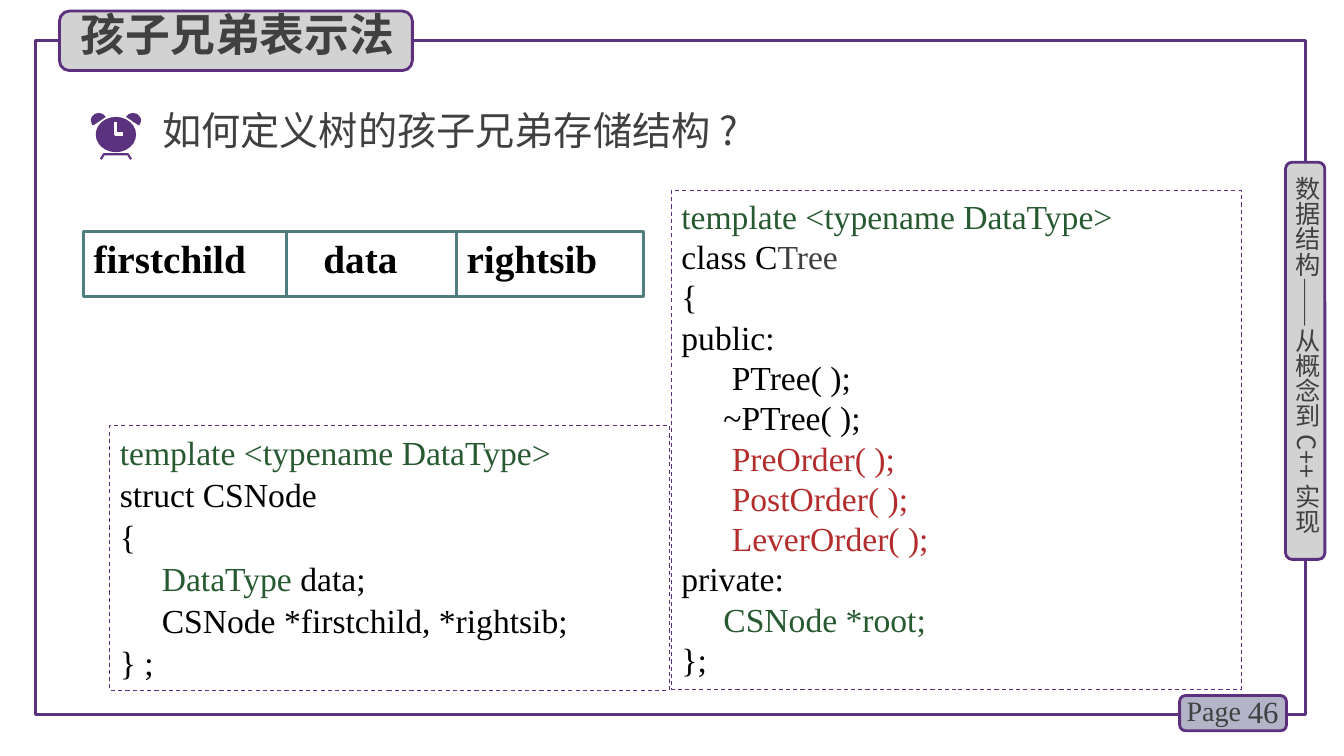
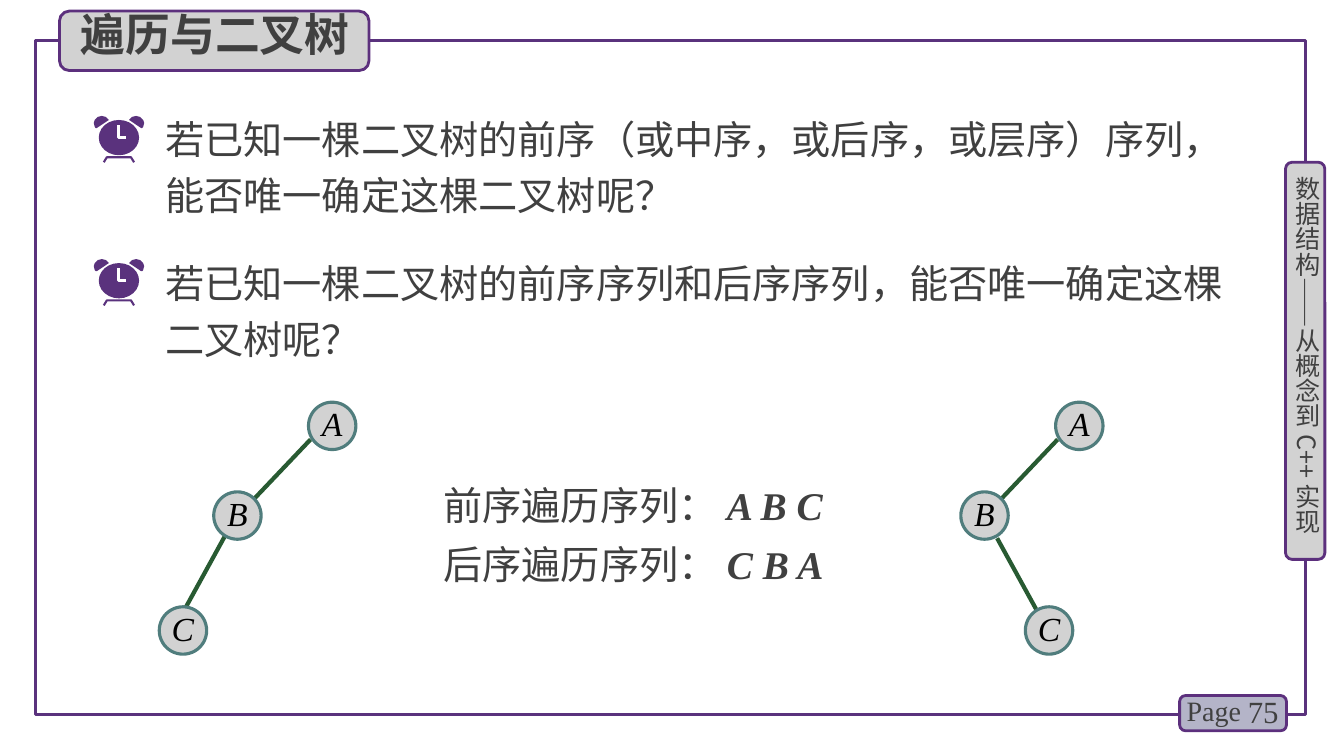
from dataclasses import dataclass, replace
from typing import NamedTuple, Optional

from lxml.etree import SubElement
from pptx import Presentation
from pptx.dml.color import RGBColor
from pptx.enum.dml import MSO_LINE
from pptx.enum.shapes import MSO_CONNECTOR, MSO_SHAPE as Form
from pptx.enum.text import MSO_ANCHOR as Anchor, MSO_AUTO_SIZE as Fit, PP_ALIGN as Align
from pptx.oxml.ns import qn
from pptx.util import Inches, Pt

PURPLE = RGBColor(0x5A, 0x32, 0x7D)
PLUM = RGBColor(0x5C, 0x30, 0x7D)
SILVER = RGBColor(0xD2, 0xD2, 0xD2)
LILAC = RGBColor(0xB4, 0xB4, 0xC8)
TEAL = RGBColor(0x50, 0x7D, 0x7D)
GREEN = RGBColor(0x28, 0x5A, 0x32)
RED = RGBColor(0xB4, 0x2D, 0x2D)
GRAY = RGBColor(0x40, 0x40, 0x40)
BLACK = RGBColor(0, 0, 0)
WHITE = RGBColor(0xFF, 0xFF, 0xFF)
HAN = "Noto Sans CJK SC"
ROMAN = "Times New Roman"


@dataclass(frozen=True)
class Style:
    size: float
    face: str
    color: RGBColor
    bold: bool = False
    italic: bool = False

    def apply(self, font) -> None:
        font.size, font.name = Pt(self.size), self.face
        font.bold, font.italic = self.bold, self.italic
        font.color.rgb = self.color
        SubElement(font._rPr, qn("a:ea")).set("typeface", self.face)


class Box(NamedTuple):
    left: float
    top: float
    width: float
    height: float

    def place(self) -> tuple:
        return tuple(Inches(n) for n in self)


class Run(NamedTuple):
    text: str
    style: Style


class Point(NamedTuple):
    x: float
    y: float


class Edge(NamedTuple):
    start: Point
    end: Point


class Tree(NamedTuple):
    shift: float
    leaf: Point
    branch: Edge


HEAD = Style(32, HAN, GRAY, bold=True)
ASK = Style(28, HAN, GRAY)
CODE = Style(24, ROMAN, BLACK)
TYPE = replace(CODE, color=GREEN)
CALL = replace(CODE, color=RED)
NODE = replace(CODE, italic=True)
FIELD = Style(28, ROMAN, BLACK, bold=True)
ORDER = Style(28, ROMAN, GRAY, bold=True, italic=True)
PAGE = Style(20, ROMAN, GRAY)
COUNT = Style(22, ROMAN, GRAY)
SIDE = Style(18, HAN, GRAY)

TREES = (
    Tree(0, Point(1.58, 6.02), Edge(Point(2.23, 5.32), Point(1.84, 6.03))),
    Tree(7.41, Point(2.76, 6.02), Edge(Point(2.48, 5.34), Point(2.87, 6.05))),
)
STEM = Edge(Point(3.08, 4.36), Point(2.52, 4.95))
EAR = ((0.15, 0.04), (0.12, 0.01), (0.08, 0), (0.04, 0.01), (0.01, 0.04),
       (0, 0.07), (0.01, 0.11), (0.02, 0.12), (0.03, 0.12))
LEGS = ((0.1, 0.46), (0.13, 0.41), (0.37, 0.41), (0.4, 0.46))
HANDS = ((0.25, 0.09), (0.25, 0.21), (0.32, 0.21))

STRUCT = (
    [Run("template <typename DataType>", TYPE)],
    [Run("struct CSNode", CODE)],
    [Run("{", CODE)],
    [Run("     DataType", TYPE), Run(" data;", CODE)],
    [Run("     CSNode *firstchild, *rightsib;", CODE)],
    [Run("} ;", CODE)],
)
CLASS = (
    [Run("template <typename DataType>", TYPE)],
    [Run("class C", CODE), Run("Tree", replace(CODE, color=GRAY))],
    [Run("{", CODE)],
    [Run("public:", CODE)],
    [Run("      PTree( );", CODE)],
    [Run("     ~PTree( );", CODE)],
    [Run("      PreOrder( );", CALL)],
    [Run("      PostOrder( );", CALL)],
    [Run("      LeverOrder( );", CALL)],
    [Run("private:", CODE)],
    [Run("     CSNode *root;", TYPE)],
    [Run("};", CODE)],
)


def write(frame, lines, pad=(0.1, 0.05, 0.1, 0.05), anchor=Anchor.TOP, align=Align.LEFT,
          lead: Optional[float] = None, gap: float = 0, tabs=(), bare=False) -> None:
    """Fill a text frame with lines of styled runs."""
    frame.word_wrap, frame.auto_size, frame.vertical_anchor = True, Fit.NONE, anchor
    (frame.margin_left, frame.margin_top,
     frame.margin_right, frame.margin_bottom) = (Inches(n) for n in pad)
    for i, line in enumerate(lines):
        para = frame.add_paragraph() if i else frame.paragraphs[0]
        para.alignment = align
        para.space_before = Pt(gap if i else 0)
        if lead:
            para.line_spacing = Pt(lead)
        props = para._p.get_or_add_pPr()
        if bare:
            props.set("marL", "0")
            props.set("indent", "0")
            SubElement(props, qn("a:buNone"))
        if tabs:
            stops = SubElement(props, qn("a:tabLst"))
            for stop in tabs:
                SubElement(stops, qn("a:tab"), pos=str(Inches(stop)), algn="l")
        same = len({run.style for run in line}) == 1
        if same:
            line[0].style.apply(para.font)
        for text, style in line:
            run = para.add_run()
            run.text = text
            if not same:
                style.apply(run.font)


def paint(item, fill=None, line=None, width: float = 1) -> None:
    """Set the fill and outline of a shape."""
    item.shadow.inherit = False
    if fill is None:
        item.fill.background()
    else:
        item.fill.solid()
        item.fill.fore_color.rgb = fill
    if line is None:
        item.line.fill.background()
    else:
        item.line.color.rgb, item.line.width = line, Pt(width)


def block(shapes, form, box: Box, fill=None, line=None, width: float = 2):
    """Add a painted preset shape."""
    item = shapes.add_shape(form, *box.place())
    paint(item, fill, line, width)
    return item


def label(shapes, box: Box, lines, **kind):
    """Add a text box."""
    item = shapes.add_textbox(*box.place())
    write(item.text_frame, lines, **kind)
    return item


def link(shapes, edge: Edge, color: RGBColor, width: float) -> None:
    """Add a straight line."""
    ends = (Inches(n) for point in edge for n in point)
    item = shapes.add_connector(MSO_CONNECTOR.STRAIGHT, *ends)
    item.line.color.rgb, item.line.width = color, Pt(width)
    SubElement(item.element.spPr, qn("a:effectLst"))


def trace(shapes, points, spot: Point, close: bool):
    """Add an outline through points set off from a spot."""
    path = [(Inches(spot.x + x), Inches(spot.y + y)) for x, y in points]
    pen = shapes.build_freeform(*path[0])
    pen.add_line_segments(path[1:], close=close)
    return pen.convert_to_shape()


def clock(slide, spot: Point) -> None:
    """Draw the alarm clock."""
    shapes = slide.shapes.add_group_shape().shapes
    for ear in (EAR, [(0.5 - x, y) for x, y in EAR]):
        paint(trace(shapes, ear, spot, True), PURPLE)
    block(shapes, Form.OVAL, Box(spot.x + 0.05, spot.y + 0.04, 0.4, 0.35), PURPLE)
    for points, color, width in ((LEGS, PURPLE, 1.5), (HANDS, WHITE, 2.25)):
        paint(trace(shapes, points, spot, False), None, color, width)


def adorn(deck, slide) -> None:
    """Build the shared frame and move it to the master."""
    shapes = slide.shapes
    side = label(shapes, Box(12.76, 1.75, 0.36, 3.78),
                 [[Run("数据结构——从概念到C++实现", SIDE)]], pad=(0, 0, 0, 0))
    side.text_frame._txBody.bodyPr.set("vert", "eaVert")
    parts = (
        block(shapes, Form.RECTANGLE, Box(0.35, 0.4, 12.6, 6.69), None, PURPLE, 2.25),
        block(shapes, Form.ROUNDED_RECTANGLE, Box(11.7, 6.9, 1.06, 0.35), LILAC, PLUM),
        label(shapes, Box(11.67, 6.83, 0.78, 0.44), [[Run("Page", PAGE)]]),
        block(shapes, Form.ROUNDED_RECTANGLE, Box(12.75, 1.61, 0.39, 3.94), SILVER, PLUM),
        side,
    )
    for i, part in enumerate(parts, 20):
        part.element.nvSpPr.cNvPr.set("id", str(i))
        deck.slide_master.shapes.element.append(part.element)


def start(deck, layout: int, title: str, width: float, page: int):
    """Add a slide with its title tab and page number."""
    slide = deck.slides.add_slide(deck.slide_layouts[layout])
    shapes, head = slide.shapes, slide.shapes.title
    block(shapes, Form.ROUNDED_RECTANGLE, Box(0.59, 0.11, width, 0.59), SILVER, PLUM)
    head.left, head.top, head.width, head.height = Box(0.7, 0.02, width, 0.74).place()
    write(head.text_frame, [[Run(title, HEAD)]])
    shapes.element.append(head.element)
    label(shapes, Box(12.07, 6.86, 0.71, 0.4), [[Run(str(page), COUNT)]],
          anchor=Anchor.MIDDLE, align=Align.RIGHT)
    return slide


def ask(slide, index: int, text: str, box: Box, spot: Point, lead=None) -> None:
    """Put a question in a body placeholder beside a clock."""
    body = slide.placeholders[index]
    body.left, body.top, body.width, body.height = box.place()
    write(body.text_frame, [[Run(text, ASK)]], lead=lead, bare=True)
    clock(slide, spot)


def store(deck):
    """Build the slide on child and sibling storage."""
    slide = start(deck, 1, "孩子兄弟表示法", 3.5, 46)
    shapes = slide.shapes
    ask(slide, 1, "如何定义树的孩子兄弟存储结构?", Box(1.51, 1, 7.9, 0.66), Point(0.9, 1.12))
    for box, lines, lead in ((Box(1.09, 4.22, 5.55, 2.63), STRUCT, 30),
                             (Box(6.66, 1.89, 5.65, 4.95), CLASS, 28.8)):
        item = block(shapes, Form.RECTANGLE, box, None, PLUM, 0.75)
        item.line.dash_style = MSO_LINE.DASH
        write(item.text_frame, lines, lead=lead)
    row = block(shapes, Form.RECTANGLE, Box(0.83, 2.3, 5.55, 0.64), None, TEAL, 2.25)
    write(row.text_frame, [[Run("firstchild\tdata\trightsib", FIELD)]],
          pad=(0.1, 0.02, 0, 0.01), tabs=(2.28, 3.7))
    for x in (2.84, 4.53):
        link(shapes, Edge(Point(x, 2.3), Point(x, 2.94)), TEAL, 2.25)
    return slide


def draw(slide, tree: Tree) -> None:
    """Draw a tree of three nodes."""
    shapes = slide.shapes.add_group_shape().shapes
    for edge in (STEM, tree.branch):
        link(shapes, Edge(*(Point(p.x + tree.shift, p.y) for p in edge)), GREEN, 3)
    for name, spot in zip("ABC", (Point(3.06, 3.99), Point(2.12, 4.88), tree.leaf)):
        box = Box(spot.x + tree.shift, spot.y, 0.47, 0.47)
        node = block(shapes, Form.OVAL, box, SILVER, TEAL, 2.25)
        write(node.text_frame, [[Run(name, NODE)]], pad=(0, 0, 0, 0),
              anchor=Anchor.MIDDLE, align=Align.CENTER, lead=25)


def visit(deck) -> None:
    """Build the slide on orders and binary trees."""
    slide = start(deck, 3, "遍历与二叉树", 3.07, 75)
    asks = ("若已知一棵二叉树的前序（或中序，或后序，或层序）序列，能否唯一确定这棵二叉树呢？",
            "若已知一棵二叉树的前序序列和后序序列，能否唯一确定这棵二叉树呢？")
    for i, text in enumerate(asks):
        drop = 1.42 * i
        ask(slide, i + 1, text, Box(1.54, 1.01 + drop, 10.86, 1.22),
            Point(0.93, 1.15 + drop), lead=40)
    for tree in TREES:
        draw(slide, tree)
    label(slide.shapes, Box(4.3, 4.73, 4.21, 1.34),
          [[Run("前序遍历序列：", ASK), Run("A B C", ORDER)],
           [Run("后序遍历序列：", ASK), Run("C B A", ORDER)]], gap=8)


def main() -> None:
    """Build and save the deck."""
    deck = Presentation()
    deck.slide_width, deck.slide_height = Inches(13.33), Inches(7.5)
    adorn(deck, store(deck))
    visit(deck)
    deck.save("out.pptx")


if __name__ == "__main__":
    main()
